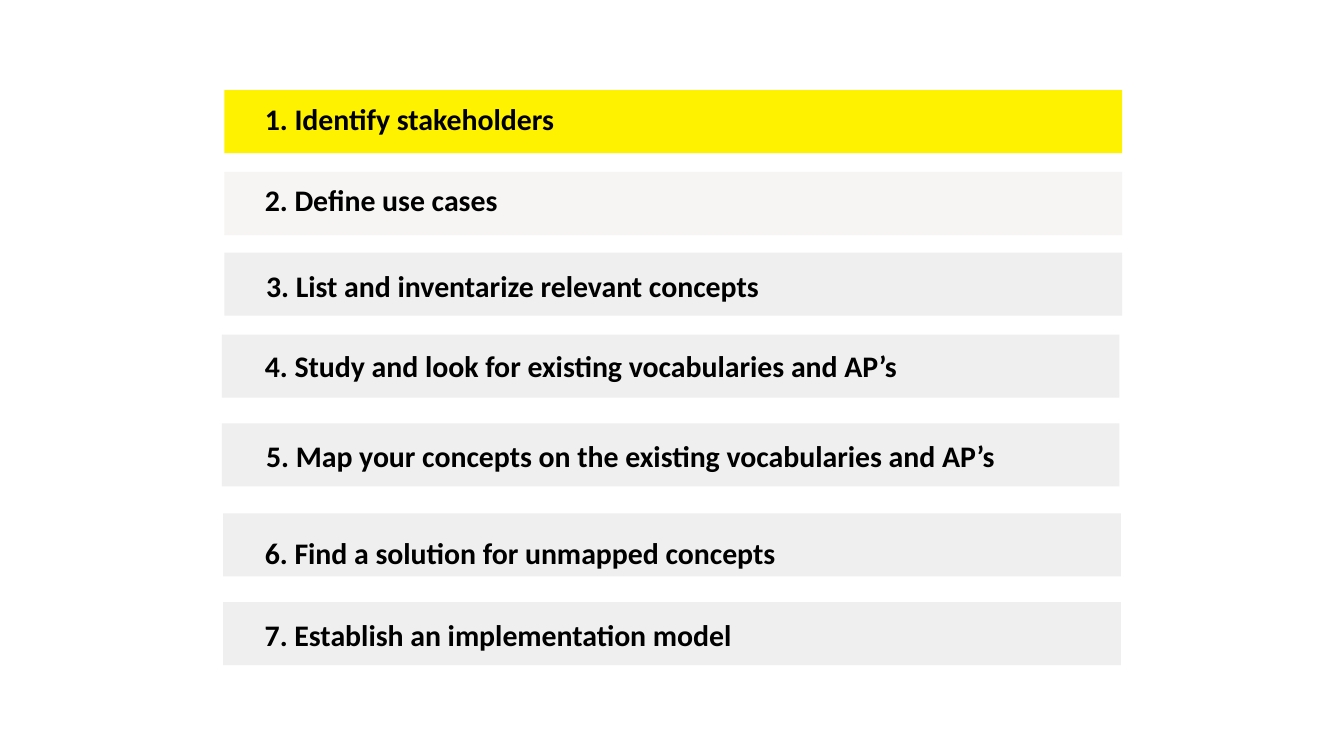
from pptx import Presentation
from pptx.dml.color import RGBColor
from pptx.enum.shapes import MSO_SHAPE
from pptx.enum.text import MSO_ANCHOR, PP_ALIGN
from pptx.util import Inches, Pt

COLORS = {"active": "FFF200", "next": "F6F5F3", "later": "EFEFEF", "text": "000000"}
# text, fill, bar left, bar top, label left, label top, label size
WIDE, TALL = (6.38, 0.16), (6.07, 0.27)
STEPS = [
    ("1. Identify stakeholders", "active", 1.67, 0.67, 1.97, 0.75, WIDE),
    ("2. Define use cases", "next", 1.67, 1.28, 1.97, 1.35, WIDE),
    ("3. List and inventarize relevant concepts", "later", 1.67, 1.88, 1.98, 1.99, TALL),
    ("4. Study and look for existing vocabularies and AP’s", "later",
     1.65, 2.49, 1.97, 2.59, WIDE),
    ("5. Map your concepts on the existing vocabularies and AP’s", "later",
     1.65, 3.15, 1.98, 3.26, TALL),
    ("6. Find a solution for unmapped concepts", "later", 1.66, 3.82, 1.97, 3.98, WIDE),
    ("7. Establish an implementation model", "later", 1.66, 4.48, 1.97, 4.59, TALL),
]
SLIDE_W = Inches(10)
BAR_SIZE = (6.68, 0.47)
FRAME = {"margin_left": 0, "margin_top": 0, "margin_right": 0, "margin_bottom": 0,
         "word_wrap": True, "vertical_anchor": MSO_ANCHOR.TOP}
FONT = {"name": "Calibri", "size": Pt(16), "bold": True}


def set_all(target, values):
    for name, value in values.items():
        setattr(target, name, value)


def rgb(name):
    return RGBColor.from_string(COLORS[name])


def add_bar(slide, box, fill):
    sp = slide.shapes.add_shape(MSO_SHAPE.RECTANGLE, *map(Inches, box))
    sp.shadow.inherit = False
    sp.fill.solid()
    sp.fill.fore_color.rgb = rgb(fill)
    sp.line.fill.background()


def add_label(slide, text, box):
    tf = slide.shapes.add_textbox(*map(Inches, box)).text_frame
    set_all(tf, FRAME)
    p = tf.paragraphs[0]
    p.alignment = PP_ALIGN.LEFT
    r = p.add_run()
    r.text = text
    set_all(r.font, FONT)
    r.font.color.rgb = rgb("text")


def main():
    prs = Presentation()
    prs.slide_width, prs.slide_height = SLIDE_W, SLIDE_W * 9 // 16
    slide = prs.slides.add_slide(prs.slide_layouts[6])
    for text, fill, bar_left, bar_top, left, top, size in STEPS:
        add_bar(slide, (bar_left, bar_top, *BAR_SIZE), fill)
        add_label(slide, text, (left, top, *size))
    prs.save("out.pptx")


if __name__ == "__main__":
    main()
